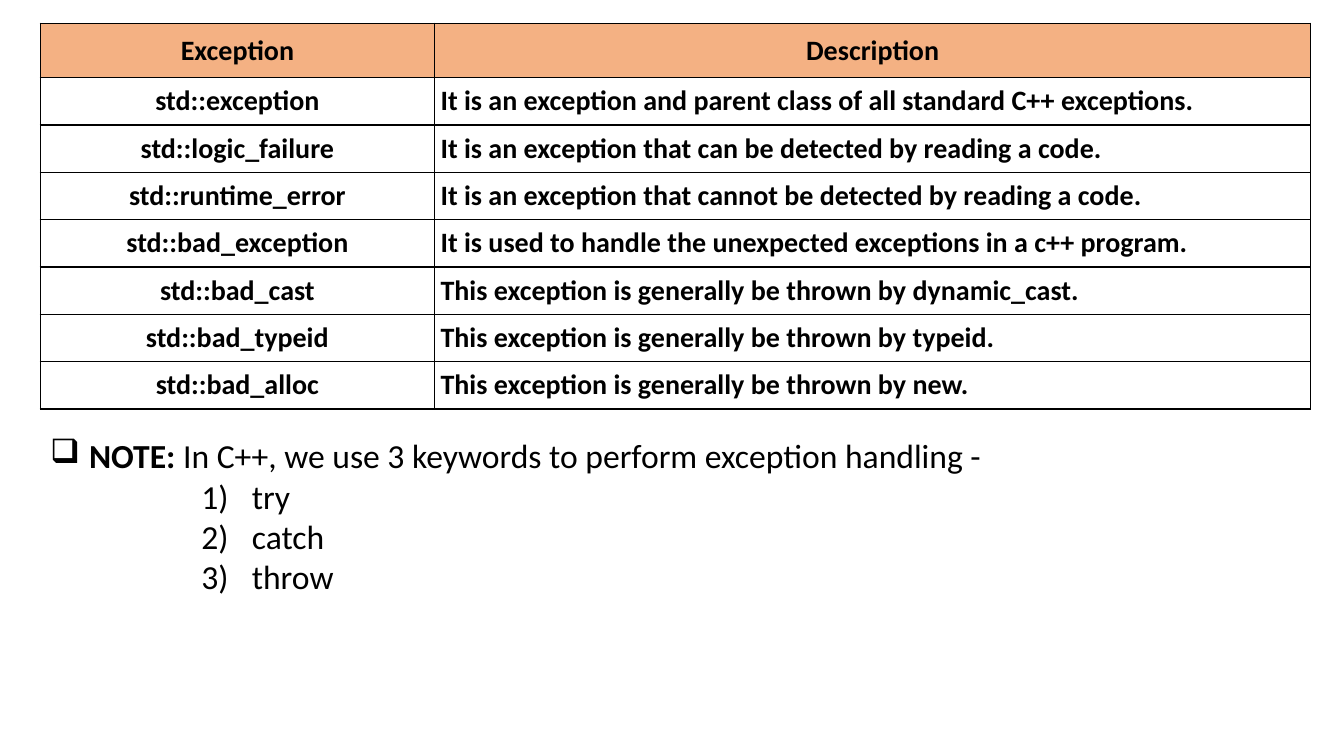
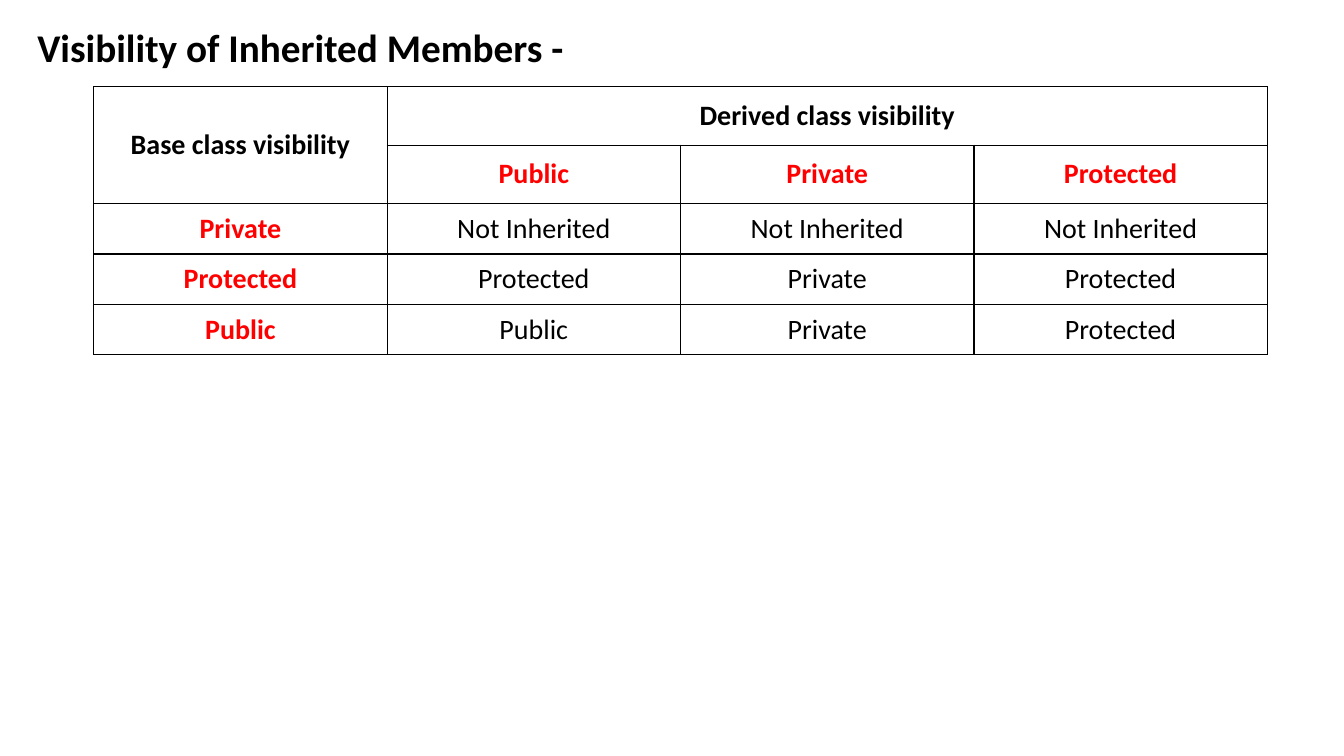
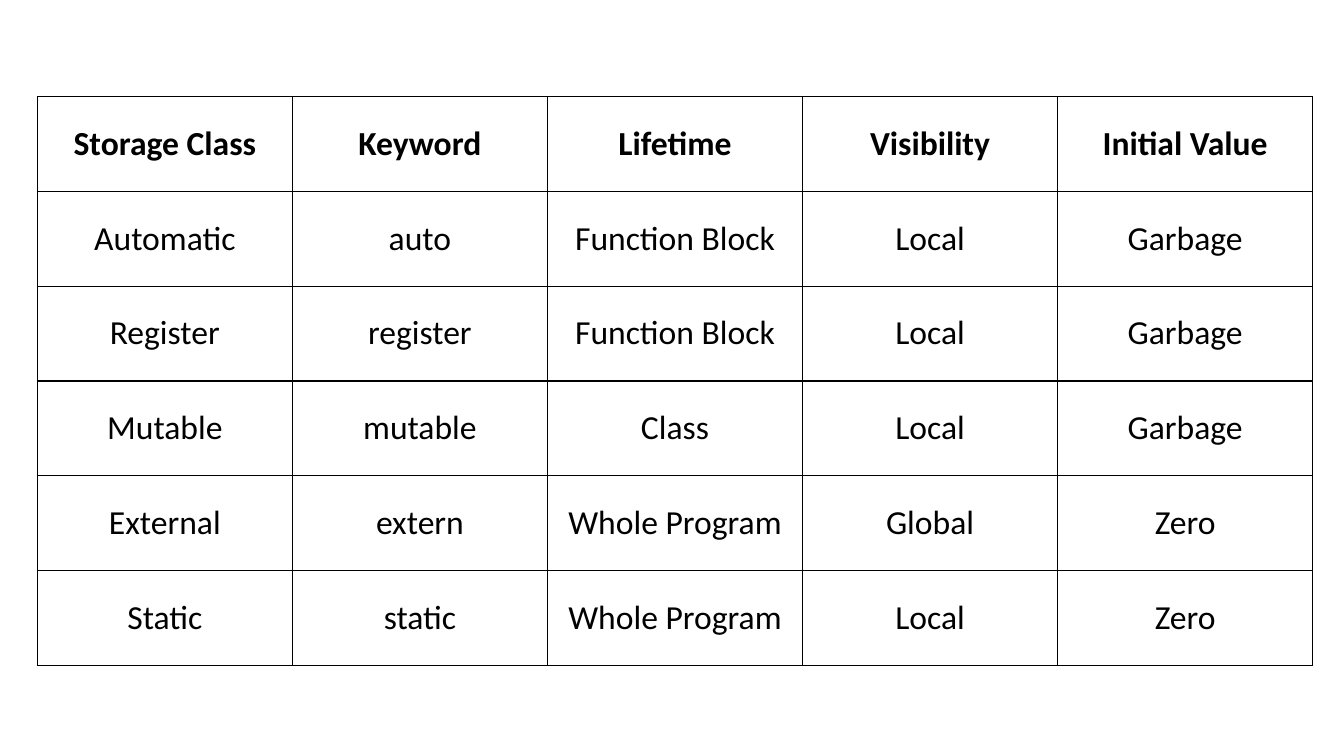
from lxml import etree
from pptx import Presentation
from pptx import util as u
from pptx.dml import color
from pptx.enum import text
from pptx.oxml import ns

FONT = "Calibri"
BLACK, RED, ORANGE = "000000", "FF0000", "F4B183"
TITLE_ONLY, BLANK = 5, 6
CENTER, LEFT = text.PP_ALIGN.CENTER, text.PP_ALIGN.LEFT


def rgb(hex_code):
    return color.RGBColor.from_string(hex_code)


def add_xml(parent, tag, **attrs):
    return etree.SubElement(parent, ns.qn(tag), attrs)


class Deck:
    """Holds the presentation, its shared style and the current slide."""

    def __init__(self):
        self.prs = Presentation()
        self.prs.slide_width = u.Inches(13.33)
        self.prs.slide_height = u.Inches(7.5)
        self.s = None

    def new_slide(self, layout=BLANK):
        self.s = self.prs.slides.add_slide(self.prs.slide_layouts[layout])

    def run(self, p, words, size, bold=False, fg=BLACK):
        r = p.add_run()
        r.text = words
        r.font.name, r.font.size, r.font.bold = FONT, u.Pt(size), bold
        r.font.color.rgb = rgb(fg)

    def title(self, words, x, y, w, h):
        sp = self.s.shapes.title
        sp.left, sp.top, sp.width, sp.height = map(u.Inches, (x, y, w, h))
        tf = sp.text_frame
        tf.word_wrap = False
        tf.auto_size = text.MSO_AUTO_SIZE.NONE
        p = tf.paragraphs[0]
        p.alignment = LEFT
        self.run(p, words, 28, bold=True)

    def bullet(self, p, tag, left, hang, **attrs):
        """Give a paragraph a bullet that hangs to the left of its text."""
        pPr = p._p.get_or_add_pPr()
        pPr.set("marL", str(u.Inches(left)))
        pPr.set("indent", str(-u.Inches(hang)))
        add_xml(pPr, tag, **attrs)

    def note(self, label, words, steps, x, y, w, h, size=24):
        """Add a bulleted sentence followed by a numbered list."""
        tf = self.s.shapes.add_textbox(*map(u.Inches, (x, y, w, h))).text_frame
        tf.word_wrap = True
        p = tf.paragraphs[0]
        self.bullet(p, "a:buChar", 0.31, 0.31, char="❑")
        self.run(p, label, size, bold=True)
        self.run(p, words, size)
        for step in steps:
            p = tf.add_paragraph()
            self.bullet(p, "a:buAutoNum", 2, 0.5, type="arabicParenR")
            self.run(p, step, size)

    def table(self, rows, x, y, widths, heights):
        """Add a plain table; the cells are filled in by cell()."""
        box = map(u.Inches, (x, y, sum(widths), sum(heights)))
        tbl = self.s.shapes.add_table(rows, len(widths), *box).table
        tbl.first_row = tbl.horz_banding = False
        for col, width in zip(tbl.columns, widths):
            col.width = u.Inches(width)
        for row, height in zip(tbl.rows, heights):
            row.height = u.Inches(height)
        for c in tbl.iter_cells():
            self.borders(c)
            c.fill.background()
        return tbl

    def borders(self, c):
        tcPr = c._tc.get_or_add_tcPr()
        for side in "LRTB":
            ln = add_xml(tcPr, "a:ln" + side, w=str(u.Pt(1)))
            add_xml(add_xml(ln, "a:solidFill"), "a:srgbClr", val=BLACK)

    def cell(self, c, words, size=20, bold=False, fg=BLACK, fill=None,
             align=CENTER, inset=None):
        if fill:
            c.fill.solid()
            c.fill.fore_color.rgb = rgb(fill)
        if inset:
            c.margin_left = c.margin_right = u.Inches(inset)
            c.margin_top = c.margin_bottom = u.Inches(inset)
        c.vertical_anchor = text.MSO_ANCHOR.MIDDLE
        p = c.text_frame.paragraphs[0]
        p.alignment = align
        self.run(p, words, size, bold, fg)


def exceptions_slide(d):
    rows = [
        ("Exception", "Description"),
        ("std::exception", "It is an exception and parent class of all standard C++ exceptions."),
        ("std::logic_failure", "It is an exception that can be detected by reading a code."),
        ("std::runtime_error", "It is an exception that cannot be detected by reading a code."),
        ("std::bad_exception", "It is used to handle the unexpected exceptions in a c++ program."),
        ("std::bad_cast", "This exception is generally be thrown by dynamic_cast."),
        ("std::bad_typeid", "This exception is generally be thrown by typeid."),
        ("std::bad_alloc", "This exception is generally be thrown by new."),
    ]
    d.new_slide()
    tbl = d.table(len(rows), 0.4, 0.23, [3.91, 8.69], [0.53] + [0.47] * 7)
    for i, row in enumerate(rows):
        for j, words in enumerate(row):
            d.cell(tbl.cell(i, j), words, bold=True,
                   fill=None if i else ORANGE,
                   align=LEFT if i and j else CENTER,
                   inset=0.06 if i else 0.1)
    d.note(" NOTE:", " In C++, we use 3 keywords to perform exception handling -",
           ["try", "catch", "throw"], 0.4, 4.27, 12.6, 1.72)


def visibility_slide(d):
    rows = [
        ("Base class visibility", "Derived class visibility", None, None),
        (None, "Public", "Private", "Protected"),
        ("Private", "Not Inherited", "Not Inherited", "Not Inherited"),
        ("Protected", "Protected", "Private", "Protected"),
        ("Public", "Public", "Private", "Protected"),
    ]
    d.new_slide(TITLE_ONLY)
    d.title("Visibility of Inherited Members -", 0.27, 0.18, 5.48, 0.57)
    tbl = d.table(len(rows), 0.93, 0.86, [2.91] * 4, [0.58] * 2 + [0.5] * 3)
    tbl.cell(0, 0).merge(tbl.cell(1, 0))
    tbl.cell(0, 1).merge(tbl.cell(0, 3))
    for i, row in enumerate(rows):
        for j, words in enumerate(row):
            if words:
                heading = i < 2 or j == 0
                d.cell(tbl.cell(i, j), words, bold=heading,
                       fg=RED if heading and i else BLACK,
                       inset=0.12 if i < 2 else 0.08)


def storage_slide(d):
    rows = [
        ("Storage Class", "Keyword", "Lifetime", "Visibility", "Initial Value"),
        ("Automatic", "auto", "Function Block", "Local", "Garbage"),
        ("Register", "register", "Function Block", "Local", "Garbage"),
        ("Mutable", "mutable", "Class", "Local", "Garbage"),
        ("External", "extern", "Whole Program", "Global", "Zero"),
        ("Static", "static", "Whole Program", "Local", "Zero"),
    ]
    d.new_slide()
    tbl = d.table(len(rows), 0.37, 0.96, [2.53] * 5, [0.94] * 6)
    for i, row in enumerate(rows):
        for j, words in enumerate(row):
            d.cell(tbl.cell(i, j), words, size=24, bold=i == 0)


def main():
    d = Deck()
    exceptions_slide(d)
    visibility_slide(d)
    storage_slide(d)
    d.prs.save("out.pptx")


if __name__ == "__main__":
    main()
